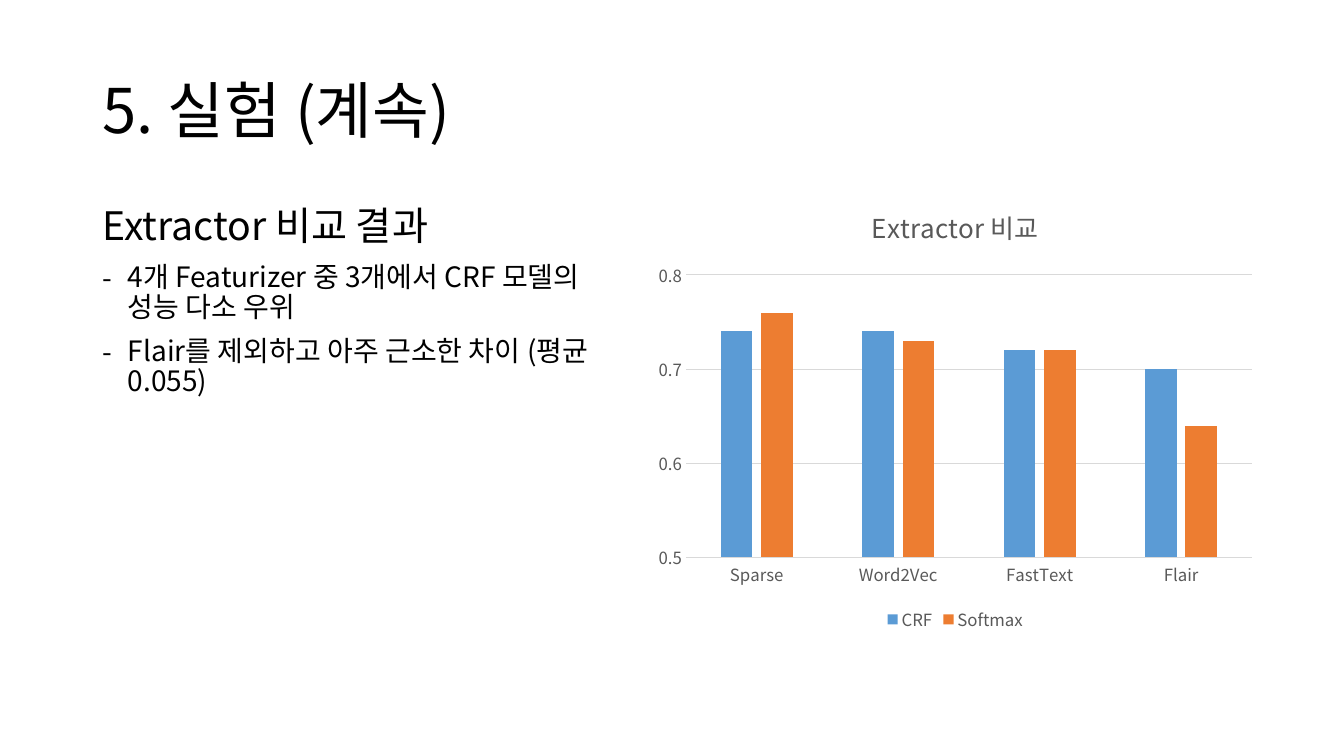
"""Build the experiment slide comparing CRF and Softmax extractors."""
from lxml.etree import SubElement
from pptx import Presentation
from pptx.chart.data import CategoryChartData
from pptx.dml.color import RGBColor
from pptx.enum.chart import XL_CHART_TYPE as ChartType, XL_LEGEND_POSITION as LegendPosition, XL_TICK_MARK as TickMark
from pptx.enum.text import MSO_ANCHOR as Anchor
from pptx.oxml.ns import qn
from pptx.util import Inches, Pt

FONT = "Noto Sans CJK KR"
BLACK = RGBColor(0x00, 0x00, 0x00)
GRAY = RGBColor(0x59, 0x59, 0x59)
LIGHT_GRAY = RGBColor(0xD9, 0xD9, 0xD9)
BLUE = RGBColor(0x5B, 0x9B, 0xD5)
ORANGE = RGBColor(0xED, 0x7D, 0x31)


def style_font(font, size, color):
    for name, value in {"name": FONT, "size": Pt(size), "bold": False}.items():
        setattr(font, name, value)
    font.color.rgb = color


def add_text(paragraph, text, size, color=BLACK):
    run = paragraph.add_run()
    run.text = text
    style_font(run.font, size, color)
    SubElement(run._r.get_or_add_rPr(), qn("a:ea"), typeface=FONT)


presentation = Presentation()
presentation.slide_width = Inches(13.33)
presentation.slide_height = Inches(7.5)
slide = presentation.slides.add_slide(presentation.slide_layouts[6])

title_box = slide.shapes.add_textbox(Inches(0.92), Inches(0.4), Inches(11.5), Inches(1.45))
title_box.text_frame.word_wrap = True
title_box.text_frame.vertical_anchor = Anchor.MIDDLE
title_paragraph = title_box.text_frame.paragraphs[0]
title_paragraph.line_spacing = 0.9
add_text(title_paragraph, "5. 실험 (계속)", 44)

body_box = slide.shapes.add_textbox(Inches(0.92), Inches(2), Inches(5.12), Inches(2.9))
body_frame = body_box.text_frame
body_frame.word_wrap = True
body_lines = [
    ("Extractor 비교 결과", 28, False),
    ("4개 Featurizer 중 3개에서 CRF 모델의 성능 다소 우위", 20, True),
    ("Flair를 제외하고 아주 근소한 차이 (평균 0.055)", 20, True),
]
for index, (text, size, bulleted) in enumerate(body_lines):
    paragraph = body_frame.add_paragraph() if index else body_frame.paragraphs[0]
    paragraph.line_spacing = 0.9
    paragraph.space_before = Pt(10)
    if bulleted:
        properties = paragraph._p.get_or_add_pPr()
        properties.set("marL", str(Inches(0.25)))
        properties.set("indent", str(Inches(-0.25)))
        SubElement(properties, qn("a:buFont"), typeface=FONT)
        SubElement(properties, qn("a:buChar"), char="-")
    add_text(paragraph, text, size)

chart_data = CategoryChartData()
chart_data.categories = ["Sparse", "Word2Vec", "FastText", "Flair"]
chart_data.add_series("CRF", [0.74, 0.74, 0.72, 0.7])
chart_data.add_series("Softmax", [0.76, 0.73, 0.72, 0.64])
chart = slide.shapes.add_chart(
    ChartType.COLUMN_CLUSTERED, Inches(6.41), Inches(1.84), Inches(6.13), Inches(4.47), chart_data
).chart
style_font(chart.font, 10, BLACK)

chart.has_title = True
chart.chart_title.include_in_layout = False
add_text(chart.chart_title.text_frame.paragraphs[0], "Extractor 비교", 18.6, GRAY)

chart.has_legend = True
chart.legend.position = LegendPosition.BOTTOM
chart.legend.include_in_layout = False
style_font(chart.legend.font, 12, GRAY)

category_axis, value_axis = chart.category_axis, chart.value_axis
for axis in (category_axis, value_axis):
    axis.major_tick_mark = TickMark.NONE
    axis.minor_tick_mark = TickMark.NONE
    style_font(axis.tick_labels.font, 12, GRAY)
for name, value in {"minimum_scale": 0.5, "maximum_scale": 0.8, "major_unit": 0.1}.items():
    setattr(value_axis, name, value)
value_axis.format.line.fill.background()
for line in (category_axis.format.line, value_axis.major_gridlines.format.line):
    line.color.rgb = LIGHT_GRAY
    line.width = Pt(0.75)

plot = chart.plots[0]
for name, value in {"gap_width": 219, "overlap": -27, "vary_by_categories": False}.items():
    setattr(plot, name, value)
for series, color in zip(plot.series, (BLUE, ORANGE)):
    series.format.fill.solid()
    series.format.fill.fore_color.rgb = color

presentation.save("out.pptx")
